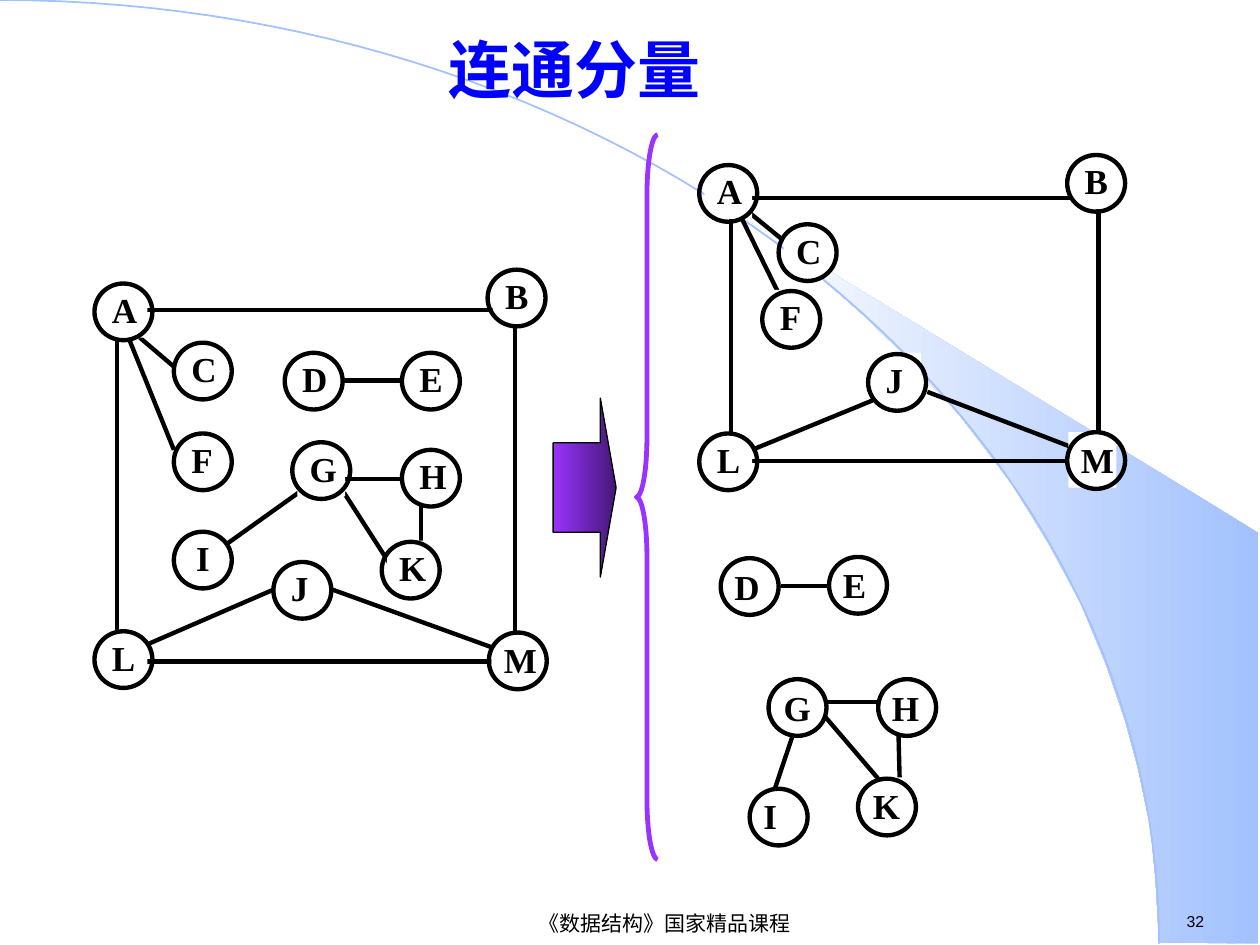
from dataclasses import dataclass
from math import cos, pi, sin

from lxml.etree import SubElement
from pptx import Presentation
from pptx.dml.color import RGBColor
from pptx.enum.dml import MSO_FILL
from pptx.enum.shapes import MSO_CONNECTOR, MSO_SHAPE
from pptx.enum.text import MSO_ANCHOR, PP_ALIGN
from pptx.oxml.ns import qn
from pptx.util import Inches, Pt

COLUMNS, ROWS = 100, 75
presentation = Presentation()
presentation.slide_width = Inches(10)
presentation.slide_height = Inches(7.5)
slide = presentation.slides.add_slide(presentation.slide_layouts[6])
CELL_WIDTH = presentation.slide_width / COLUMNS
CELL_HEIGHT = presentation.slide_height / ROWS
NODE_WIDTH, NODE_HEIGHT = 4.6, 4.5
LABEL_WIDTH, LABEL_HEIGHT = 3.8, 4.4


@dataclass(frozen=True)
class Node:
    letter: str
    column: float
    row: float
    label_column: float = 0.4
    label_row: float = -0.1
    align: PP_ALIGN = PP_ALIGN.LEFT


@dataclass(frozen=True)
class Edge:
    start_column: float
    start_row: float
    end_column: float
    end_row: float


def across(columns: float) -> int:
    return round(columns * CELL_WIDTH)


def down(rows: float) -> int:
    return round(rows * CELL_HEIGHT)


def color(value: str) -> RGBColor:
    return RGBColor.from_string(value)


def style(shape, fill=None, gradient=None, line=None, width=1.0) -> None:
    shape.shadow.inherit = False
    if gradient:
        shape.fill.gradient()
        shape.fill.gradient_angle = 180
        for stop, value in zip(shape.fill.gradient_stops, gradient):
            stop.color.rgb = color(value)
    elif fill:
        shape.fill.solid()
        shape.fill.fore_color.rgb = color(fill)
    else:
        shape.fill.background()
    if line:
        shape.line.color.rgb = color(line)
        shape.line.width = Pt(width)
    else:
        shape.line.fill.background()


def add_shape(kind: MSO_SHAPE, column: float, row: float, columns: float, rows: float, **look):
    shape = slide.shapes.add_shape(kind, across(column), down(row), across(columns), down(rows))
    style(shape, **look)
    return shape


def add_outline(points: list, close: bool, **look) -> None:
    corners = [(across(column), down(row)) for column, row in points]
    builder = slide.shapes.build_freeform(*corners[0])
    builder.add_line_segments(corners[1:], close=close)
    style(builder.convert_to_shape(), **look)


def write(shape, text: str, size=20, font="Times New Roman", ink="000000", bold=False,
          align=PP_ALIGN.LEFT, anchor=MSO_ANCHOR.TOP, wrap=True) -> None:
    frame = shape.text_frame
    frame.word_wrap = wrap
    frame.vertical_anchor = anchor
    paragraph = frame.paragraphs[0]
    paragraph.alignment = align
    run = paragraph.add_run()
    run.text = text
    run.font.name = font
    run.font.size = Pt(size)
    run.font.bold = bold
    run.font.color.rgb = color(ink)


def add_text(text: str, column: float, row: float, columns: float, rows: float, **look) -> None:
    write(slide.shapes.add_textbox(across(column), down(row), across(columns), down(rows)),
          text, **look)


def draw_edge(edge: Edge) -> None:
    connector = slide.shapes.add_connector(
        MSO_CONNECTOR.STRAIGHT, across(edge.start_column), down(edge.start_row),
        across(edge.end_column), down(edge.end_row))
    connector.line.color.rgb = color("000000")
    connector.line.width = Pt(2.5)
    SubElement(connector._element.spPr, qn("a:effectLst"))


def draw_node(node: Node) -> None:
    label = add_shape(MSO_SHAPE.RECTANGLE, node.column + node.label_column,
                      node.row + node.label_row, LABEL_WIDTH, LABEL_HEIGHT, fill="FFFFFF")
    write(label, node.letter, bold=True, align=node.align)
    add_shape(MSO_SHAPE.OVAL, node.column, node.row, NODE_WIDTH, NODE_HEIGHT,
              line="000000", width=2.5)


WEDGE = [
    (92, 74.8), (99.9, 74.9), (99.9, 42.3), (58.9, 17.3), (62.4, 19.9), (65.3, 22.2),
    (68.5, 25), (71.6, 28), (76.2, 33), (80.3, 38.4), (83.2, 43.1), (85.8, 47.9),
    (87.8, 52.8), (89.3, 57.2), (90.3, 60.9), (91.3, 65.6), (91.7, 69.6),
]
ARC_STEPS = 60
ARC_ANGLES = [step * pi / 2 / ARC_STEPS for step in range(ARC_STEPS + 1)]
ARC = [(92 * sin(angle), 74.9 * (1 - cos(angle))) for angle in ARC_ANGLES]

EDGES = [
    Edge(11.1, 24.6, 39.1, 24.6), Edge(9.3, 26.8, 9.3, 50.3), Edge(11.1, 26.8, 13.8, 29.1),
    Edge(10.2, 26.8, 13.8, 35.7), Edge(27.3, 30.2, 31.9, 30.2), Edge(27.3, 38, 31.9, 38),
    Edge(23.7, 39.1, 17.4, 43.6), Edge(33.4, 39.8, 33.4, 42.9), Edge(27.3, 39.1, 30.9, 44.7),
    Edge(11.1, 52.5, 39.1, 52.5), Edge(40.9, 25.7, 40.9, 50.3), Edge(11.1, 51.4, 21.7, 46.8),
    Edge(26.4, 46.8, 39.1, 51.4),
    Edge(62, 46.5, 66.2, 46.5), Edge(65.5, 55.7, 69.7, 55.7), Edge(63, 58.1, 61.4, 62.9),
    Edge(71.3, 57.9, 71.4, 61.7), Edge(65.5, 56.9, 69.7, 61.8), Edge(59.7, 15.7, 85.6, 15.7),
    Edge(58, 17.4, 58, 34.9), Edge(59.5, 16.9, 62.2, 19.1), Edge(58.9, 17.4, 62.2, 24.1),
    Edge(59.7, 36.6, 85.6, 36.6), Edge(87.2, 16.6, 87.2, 34.9), Edge(59.7, 35.7, 69.7, 31.6),
    Edge(73.6, 31.1, 85.6, 35.7),
]
WHOLE_GRAPH = [
    Node("B", 38.7, 21.4), Node("A", 7.5, 22.5), Node("E", 31.9, 28), Node("J", 21.7, 44.6),
    Node("K", 30.3, 43), Node("G", 23.2, 35.1), Node("L", 7.5, 50.1),
    Node("M", 38.8, 50.2, 0.2, 0), Node("D", 22.6, 28),
    Node("I", 13.8, 42.2, align=PP_ALIGN.CENTER), Node("F", 13.8, 34.4),
    Node("C", 13.8, 27.2), Node("H", 31.9, 35.7),
]
COMPONENTS = [
    Node("A", 55.5, 13.1), Node("L", 55.5, 34.4), Node("J", 68.9, 28.1), Node("C", 61.8, 17.8),
    Node("F", 60.5, 23.1), Node("B", 84.7, 12.3), Node("M", 84.7, 34.3, 0.1, 0),
    Node("D", 57.2, 44.3, 0.1, 0.1), Node("E", 65.8, 44.2, 0.1, 0),
    Node("K", 68.1, 61.8, 0.2, 0), Node("I", 59.5, 62.6, 0.1, 0),
    Node("H", 69.7, 53.9, 0.1, 0.1), Node("G", 61, 53.9, 0.2, 0.1),
]


def main() -> None:
    add_outline(WEDGE, True, gradient=("A2C1FE", "FEFEFE"))
    add_outline(ARC, False, line="A2C1FE", width=1)
    add_text("32", 93.2, 71.9, 6.8, 2.5, size=9, font="Arial", wrap=False)
    add_text("《数据结构》国家精品课程", 24, 72.1, 57.5, 2.4, size=12, font="Arial",
             align=PP_ALIGN.CENTER, anchor=MSO_ANCHOR.MIDDLE, wrap=False)
    add_text("连通分量", 3.1, 2.1, 85, 6.7, size=36, ink="0000FF", bold=True,
             align=PP_ALIGN.CENTER, anchor=MSO_ANCHOR.MIDDLE)
    for edge in EDGES:
        draw_edge(edge)
    brace = add_shape(MSO_SHAPE.LEFT_BRACE, 50.5, 10.7, 1.7, 57.5, line="9933FF", width=2.75)
    brace.adjustments[0] = 2.8
    brace.adjustments[1] = 0.5
    arrow = add_shape(MSO_SHAPE.RIGHT_ARROW, 43.9, 31.6, 5, 14.2,
                      gradient=("461775", "9933FF"), line="000000", width=0.75)
    arrow.adjustments[0] = 0.5
    arrow.adjustments[1] = 0.25
    for node in WHOLE_GRAPH + COMPONENTS:
        draw_node(node)
    presentation.save("out.pptx")


if __name__ == "__main__":
    main()
